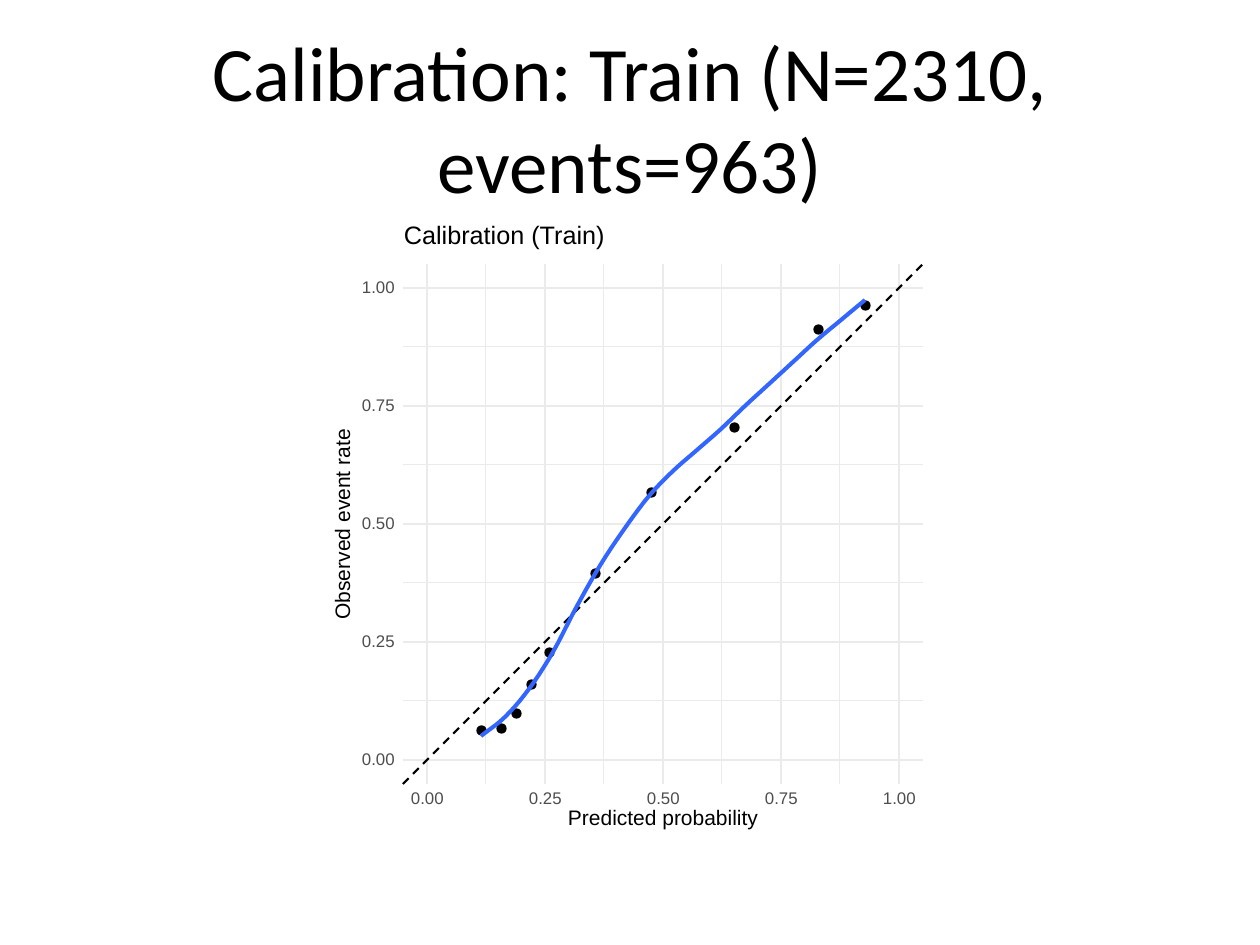
"""Build the calibration slide: title, plot grid, points and smoothed curve."""
from lxml import etree
from pptx import Presentation
from pptx.dml.color import RGBColor
from pptx.enum.dml import MSO_LINE as Dash
from pptx.enum.shapes import MSO_CONNECTOR as Conn, MSO_SHAPE as Shape
from pptx.enum.text import MSO_ANCHOR as Anchor, PP_ALIGN as Align
from pptx.oxml.ns import qn
from pptx.util import Emu, Pt

SCALE = 914400 / 126
BLACK, WHITE, GREY, GRID, BLUE = "000000", "FFFFFF", "4D4D4D", "EBEBEB", "3366FF"
LOW, HIGH = -0.05, 1.05
MAJOR = [i / 4 for i in range(5)]
MINOR = [v + 0.125 for v in MAJOR[:-1]]
POINTS = [(481, 730), (501, 728), (516, 713), (531, 684), (549, 652),
          (595, 573), (651, 492), (734, 427), (818, 329), (865, 305)]
CURVE_LEFT, CURVE_STEP, CURVE_PARTS = 481, 24, 5
CURVE_Y = [736, 717, 689, 652, 606, 564, 528, 496, 471,
           450, 429, 406, 384, 362, 340, 320, 300]


def px(n):
    return Emu(round(n * SCALE))


def rgb(color):
    return RGBColor.from_string(color)


def x_at(value):
    return round(427 + 472 * value)


def y_at(value):
    return round(760 - 472 * value)


def smooth_curve():
    """Return points of a Catmull-Rom spline through the curve knots."""
    ys = [2 * CURVE_Y[0] - CURVE_Y[1], *CURVE_Y, 2 * CURVE_Y[-1] - CURVE_Y[-2]]
    points = []
    for i, (a, b, c, d) in enumerate(zip(ys, ys[1:], ys[2:], ys[3:])):
        for part in range(CURVE_PARTS):
            t = part / CURVE_PARTS
            y = b + t / 2 * (c - a + t * (2 * a - 5 * b + 4 * c - d
                                          + t * (3 * b - a - 3 * c + d)))
            points.append((CURVE_LEFT + (i + t) * CURVE_STEP, y))
    return points + [(CURVE_LEFT + (len(CURVE_Y) - 1) * CURVE_STEP, CURVE_Y[-1])]


class Canvas:
    """Hold the plot style and the current slide."""

    def __init__(self, slide):
        self.shapes = slide.shapes
        self.font = "Arial"

    def stroke(self, line, color, width):
        line.color.rgb = rgb(color)
        line.width = Pt(width)

    def shape(self, kind, box, fill, width=None):
        sp = self.shapes.add_shape(kind, *map(px, box))
        sp.shadow.inherit = False
        sp.fill.solid()
        sp.fill.fore_color.rgb = rgb(fill)
        if width:
            self.stroke(sp.line, fill, width)
        else:
            sp.line.fill.background()

    def line(self, x1, y1, x2, y2, color, width, dash=None):
        cn = self.shapes.add_connector(Conn.STRAIGHT, px(x1), px(y1), px(x2), px(y2))
        self.stroke(cn.line, color, width)
        if dash:
            cn.line.dash_style = dash
        etree.SubElement(cn._element.spPr, qn("a:effectLst"))

    def curve(self, points, color, width):
        start, *rest = [(px(x), px(y)) for x, y in points]
        builder = self.shapes.build_freeform(*start)
        builder.add_line_segments(rest, close=False)
        sp = builder.convert_to_shape()
        sp.shadow.inherit = False
        sp.fill.background()
        self.stroke(sp.line, color, width)

    def run(self, tf, text, size, color, font):
        p = tf.paragraphs[0]
        r = p.add_run()
        r.text = text
        r.font.size = Pt(size)
        r.font.name = font
        r.font.color.rgb = rgb(color)
        return p

    def title(self, box, text):
        tf = self.shapes.add_textbox(*map(px, box)).text_frame
        tf.word_wrap = True
        tf.vertical_anchor = Anchor.MIDDLE
        self.run(tf, text, 44, BLACK, "Calibri").alignment = Align.CENTER

    def label(self, box, text, size, color=BLACK, rotation=0):
        sp = self.shapes.add_textbox(*map(px, box))
        sp.rotation = rotation
        tf = sp.text_frame
        tf.word_wrap = False
        tf.vertical_anchor = Anchor.MIDDLE
        tf.margin_left = tf.margin_right = tf.margin_top = tf.margin_bottom = 0
        self.run(tf, text, size, color, self.font).line_spacing = Pt(size)


def main():
    prs = Presentation()
    prs.slide_width, prs.slide_height = px(1260), px(945)
    s = Canvas(prs.slides.add_slide(prs.slide_layouts[6]))

    s.title((63, 38, 1134, 157), "Calibration: Train (N=2310, events=963)")
    s.shape(Shape.RECTANGLE, (63, 220, 1134, 624), WHITE, 0.75)
    s.shape(Shape.RECTANGLE, (326, 220, 607, 624), WHITE)

    left, right, top, bottom = x_at(LOW), x_at(HIGH), y_at(HIGH), y_at(LOW)
    for values, width in ((MINOR, 0.58), (MAJOR, 1.16)):
        for v in values:
            s.line(left, y_at(v), right, y_at(v), GRID, width)
        for v in values:
            s.line(x_at(v), bottom, x_at(v), top, GRID, width)
    s.line(left, bottom, right, top, BLACK, 1.16, Dash.DASH)

    for x, y in POINTS:
        s.shape(Shape.OVAL, (x - 4, y - 4, 9, 9), BLACK, 0.77)
    s.curve(smooth_curve(), BLUE, 2.33)

    for v in MAJOR:
        s.label((362, y_at(v) - 6, 35, 13), f"{v:.2f}", 9.6, GREY)
    for v in MAJOR:
        s.label((x_at(v) - 16, 793, 35, 13), f"{v:.2f}", 9.6, GREY)
    s.label((568, 810, 196, 19), "Predicted probability", 12)
    s.label((246, 514, 196, 15), "Observed event rate", 12, rotation=270)
    s.label((404, 225, 208, 24), "Calibration (Train)", 14.4)

    prs.save("out.pptx")


if __name__ == "__main__":
    main()
